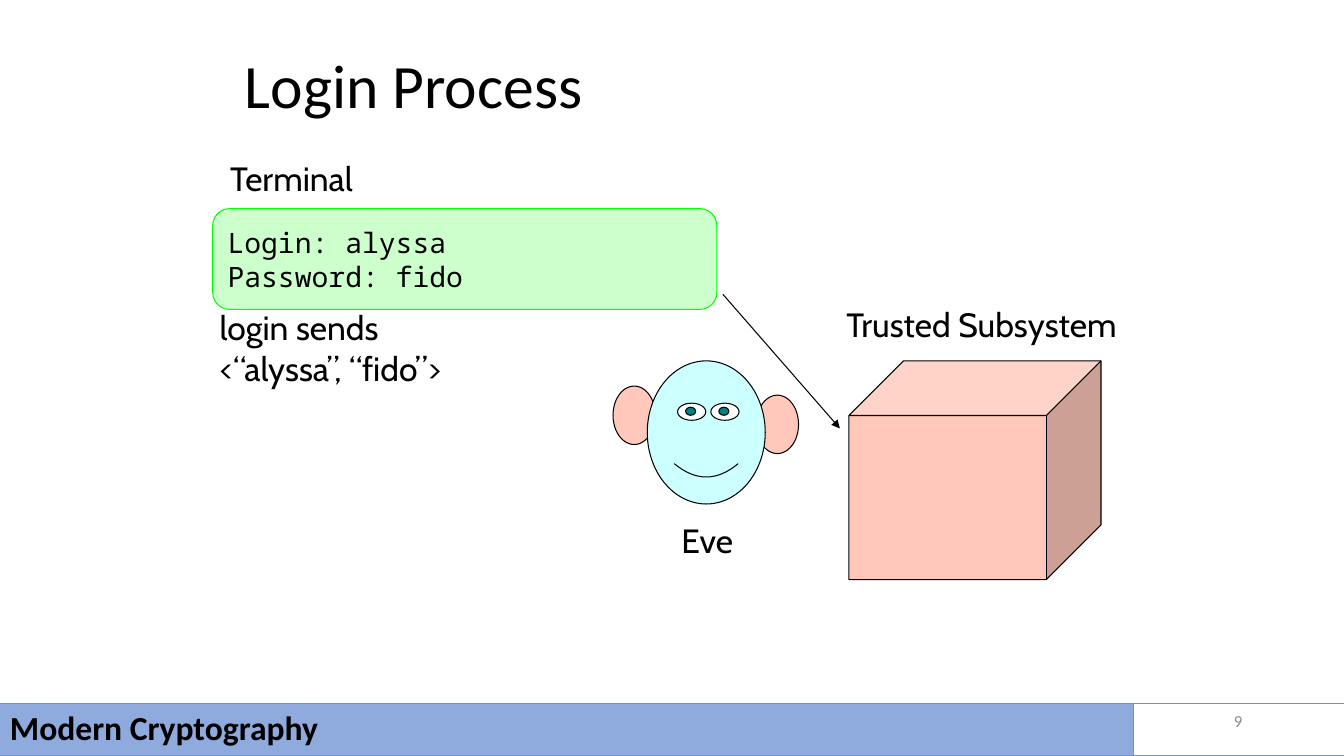
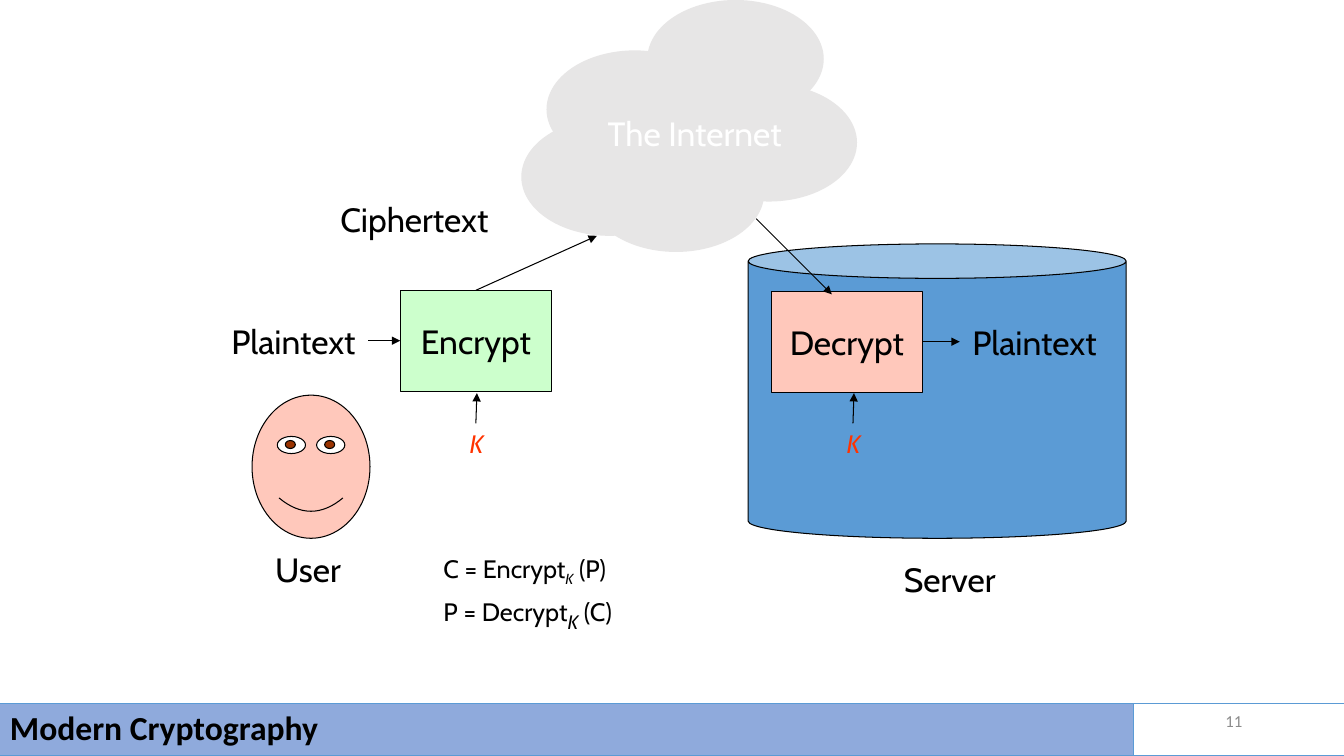
from dataclasses import dataclass
from typing import Optional, Sequence

from lxml.etree import SubElement
from pptx import Presentation
from pptx.dml.color import RGBColor
from pptx.enum.shapes import MSO_CONNECTOR as CONN, MSO_SHAPE as SHAPE
from pptx.enum.text import MSO_ANCHOR as ANCHOR, MSO_AUTO_SIZE as FIT, PP_ALIGN as ALIGN
from pptx.oxml.ns import qn
from pptx.util import Inches, Pt


@dataclass(frozen=True)
class Theme:
    black: str = "000000"
    white: str = "FFFFFF"
    green: str = "CCFFCC"
    green_edge: str = "00FF00"
    pink: str = "FFC8BB"
    cyan: str = "CCFFFF"
    teal: str = "008080"
    brown: str = "993300"
    blue: str = "5B9BD5"
    band: str = "8FAADC"
    cloud: str = "E7E6E6"
    key: str = "FF3300"
    gray: str = "8C8C8C"
    heading: str = "Calibri"
    body: str = "Cabin"
    mono: str = "Noto Sans Mono"
    title_size: int = 44
    text_size: int = 24
    code_size: int = 20
    small_size: int = 18
    number_size: int = 12
    line: float = 0.75


T = Theme()


@dataclass(frozen=True)
class Box:
    x: float
    y: float
    w: float
    h: float

    def lengths(self) -> list:
        return [Inches(v) for v in (self.x, self.y, self.w, self.h)]


@dataclass(frozen=True)
class Run:
    text: str
    size: int = T.text_size
    font: str = T.body
    color: str = T.black
    bold: bool = False
    italic: bool = False
    baseline: int = 0


@dataclass(frozen=True)
class Label:
    text: str
    box: Box
    size: int = T.text_size
    color: str = T.black
    italic: bool = False


@dataclass(frozen=True)
class Arrow:
    x1: float
    y1: float
    x2: float
    y2: float


@dataclass(frozen=True)
class Face:
    box: Box
    skin: str
    iris: str
    eye_xs: tuple
    eye_y: float


Paragraphs = Sequence[Sequence[Run]]


def write(sp, paragraphs: Paragraphs, align=ALIGN.LEFT, anchor=ANCHOR.TOP,
          wrap: bool = True, spacing: Optional[float] = None) -> None:
    tf = sp.text_frame
    for name, value in {"word_wrap": wrap, "vertical_anchor": anchor}.items():
        setattr(tf, name, value)
    for i, runs in enumerate(paragraphs):
        p = tf.add_paragraph() if i else tf.paragraphs[0]
        p.alignment = align
        if spacing:
            p.line_spacing = spacing
        for run in runs:
            r = p.add_run()
            r.text = run.text
            fmt = {"name": run.font, "size": Pt(run.size),
                   "bold": run.bold, "italic": run.italic}
            for name, value in fmt.items():
                setattr(r.font, name, value)
            r.font.color.rgb = RGBColor.from_string(run.color)
            if run.baseline:
                r.font._element.set("baseline", str(run.baseline * 1000))


def add_shape(s, kind, box: Box, fill: Optional[str] = None,
              line: Optional[str] = T.black, adj: Optional[float] = None):
    sp = s.shapes.add_shape(kind, *box.lengths())
    sp.shadow.inherit = False
    if fill:
        sp.fill.solid()
        sp.fill.fore_color.rgb = RGBColor.from_string(fill)
    else:
        sp.fill.background()
    if line:
        sp.line.color.rgb = RGBColor.from_string(line)
        sp.line.width = Pt(T.line)
    else:
        sp.line.fill.background()
    if adj is not None:
        sp.adjustments[0] = adj
    return sp


def add_text(s, box: Box, paragraphs: Paragraphs, align=ALIGN.LEFT,
             wrap: bool = False, anchor=ANCHOR.TOP, grow: bool = True) -> None:
    sp = s.shapes.add_textbox(*box.lengths())
    write(sp, paragraphs, align, anchor, wrap)
    if grow:
        sp.text_frame.auto_size = FIT.SHAPE_TO_FIT_TEXT


def add_labels(s, labels: Sequence[Label]) -> None:
    for lb in labels:
        run = Run(lb.text, lb.size, color=lb.color, italic=lb.italic)
        add_text(s, lb.box, [[run]], ALIGN.CENTER)


def add_arrows(s, arrows: Sequence[Arrow]) -> None:
    for a in arrows:
        ends = [Inches(v) for v in (a.x1, a.y1, a.x2, a.y2)]
        cn = s.shapes.add_connector(CONN.STRAIGHT, *ends)
        cn.line.color.rgb = RGBColor.from_string(T.black)
        cn.line.width = Pt(T.line)
        SubElement(cn.line._get_or_add_ln(), qn("a:tailEnd"), type="triangle")
        SubElement(cn._element.spPr, qn("a:effectLst"))


def add_face(s, face: Face) -> None:
    add_shape(s, SHAPE.SMILEY_FACE, face.box, face.skin, adj=0.047)
    for dx in face.eye_xs:
        x, y = face.box.x + dx, face.box.y + face.eye_y
        add_shape(s, SHAPE.OVAL, Box(x, y, 0.28, 0.17), T.white)
        add_shape(s, SHAPE.OVAL, Box(x + 0.08, y + 0.04, 0.1, 0.08), face.iris)


def add_footer(s, number: int) -> None:
    page = Run(str(number), T.number_size, T.heading, T.gray)
    add_text(s, Box(9.42, 6.95, 3, 0.4), [[page]], ALIGN.RIGHT,
             wrap=True, anchor=ANCHOR.MIDDLE, grow=False)
    band = add_shape(s, SHAPE.RECTANGLE, Box(0, 6.98, 11.24, 0.52), T.band, T.blue)
    name = Run("Modern Cryptography", font=T.heading, bold=True)
    write(band, [[name]], anchor=ANCHOR.MIDDLE, spacing=0.9)
    add_shape(s, SHAPE.RECTANGLE, Box(11.24, 6.98, 2.1, 0.52), line=T.blue)


def set_title(s, text: str) -> None:
    sp = s.shapes.title
    box = Box(2.33, 0.25, 8.5, 1.25)
    for name, value in zip(("left", "top", "width", "height"), box.lengths()):
        setattr(sp, name, value)
    write(sp, [[Run(text, T.title_size, T.heading)]], anchor=ANCHOR.MIDDLE, spacing=0.9)


def login_slide(prs) -> None:
    s = prs.slides.add_slide(prs.slide_layouts[5])
    set_title(s, "Login Process")
    terminal = add_shape(s, SHAPE.ROUNDED_RECTANGLE, Box(2.11, 2.07, 5, 1),
                         T.green, T.green_edge, 0.167)
    lines = ("Login: alyssa", "Password: fido")
    write(terminal, [[Run(t, T.code_size, T.mono)] for t in lines],
          anchor=ANCHOR.MIDDLE, wrap=False)
    add_arrows(s, [Arrow(7.17, 2.92, 8.33, 4.25)])
    add_shape(s, SHAPE.CUBE, Box(8.42, 3.58, 2.5, 2.17), T.pink, adj=0.25)
    for x, y in ((6.08, 3.83), (7.5, 3.92)):
        add_shape(s, SHAPE.OVAL, Box(x, y, 0.42, 0.58), T.pink)
    add_face(s, Face(Box(6.42, 3.58, 1.17, 1.42), T.cyan, T.teal, (0.3, 0.63), 0.42))
    add_labels(s, [
        Label("Terminal", Box(2.14, 1.52, 1.5, 0.5)),
        Label("Trusted Subsystem", Box(8.2, 2.97, 3.07, 0.5)),
        Label("Eve", Box(6.65, 5.11, 0.73, 0.5)),
    ])
    sent = ("login sends", "<“alyssa”, “fido”>")
    add_text(s, Box(2.08, 3, 4.92, 0.91), [[Run(t)] for t in sent], wrap=True)
    add_footer(s, 9)


def encryption_slide(prs) -> None:
    s = prs.slides.add_slide(prs.slide_layouts[6])
    add_shape(s, SHAPE.CAN, Box(7.42, 2.42, 3.75, 2.92), T.blue, adj=0.117)
    for text, x, y, fill in (("Encrypt", 3.97, 2.88, T.green),
                             ("Decrypt", 7.65, 2.89, T.pink)):
        step = add_shape(s, SHAPE.RECTANGLE, Box(x, y, 1.5, 1), fill)
        write(step, [[Run(text)]], ALIGN.CENTER, ANCHOR.MIDDLE, wrap=False)
    add_face(s, Face(Box(2.5, 3.92, 1.17, 1.42), T.pink, T.brown, (0.25, 0.64), 0.41))

    formulas = []
    for start, end, key_size in (("C = Encrypt", " (P)", T.small_size),
                                 ("P = Decrypt", " (C)", T.text_size)):
        formulas.append([Run(start, T.small_size),
                         Run("K", key_size, italic=True, baseline=-25),
                         Run(end, T.small_size)])
    add_text(s, Box(4.3, 5.44, 2.1, 0.71), formulas)

    for x, y in ((5.42, 0.5), (6.42, 0), (6.75, 0.83), (5.83, 1.33), (5.17, 1.17)):
        add_shape(s, SHAPE.OVAL, Box(x, y, 1.75, 1.17), T.cloud, None)
    add_labels(s, [
        Label("Plaintext", Box(2.17, 3.13, 1.48, 0.5)),
        Label("Ciphertext", Box(3.25, 1.92, 1.72, 0.5)),
        Label("Plaintext", Box(9.52, 3.14, 1.48, 0.5)),
        Label("User", Box(2.6, 5.4, 0.91, 0.5)),
        Label("Server", Box(8.83, 5.5, 1.18, 0.5)),
        Label("The Internet", Box(5.89, 1.07, 2, 0.5), color=T.white),
    ])
    add_labels(s, [Label("K", Box(x, 4.2, 0.35, 0.4), T.small_size, T.key, True)
                   for x in (4.55, 8.29)])
    add_arrows(s, [
        Arrow(4.72, 2.88, 5.92, 2.34),
        Arrow(3.65, 3.38, 3.97, 3.38),
        Arrow(9.15, 3.39, 9.52, 3.39),
        Arrow(4.72, 4.2, 4.73, 3.9),
        Arrow(8.46, 4.2, 8.47, 3.9),
        Arrow(7.5, 2.17, 8.25, 2.92),
    ])
    add_footer(s, 11)


def main() -> None:
    prs = Presentation()
    prs.slide_width, prs.slide_height = Inches(13.33), Inches(7.5)
    login_slide(prs)
    encryption_slide(prs)
    prs.save("out.pptx")


if __name__ == "__main__":
    main()
